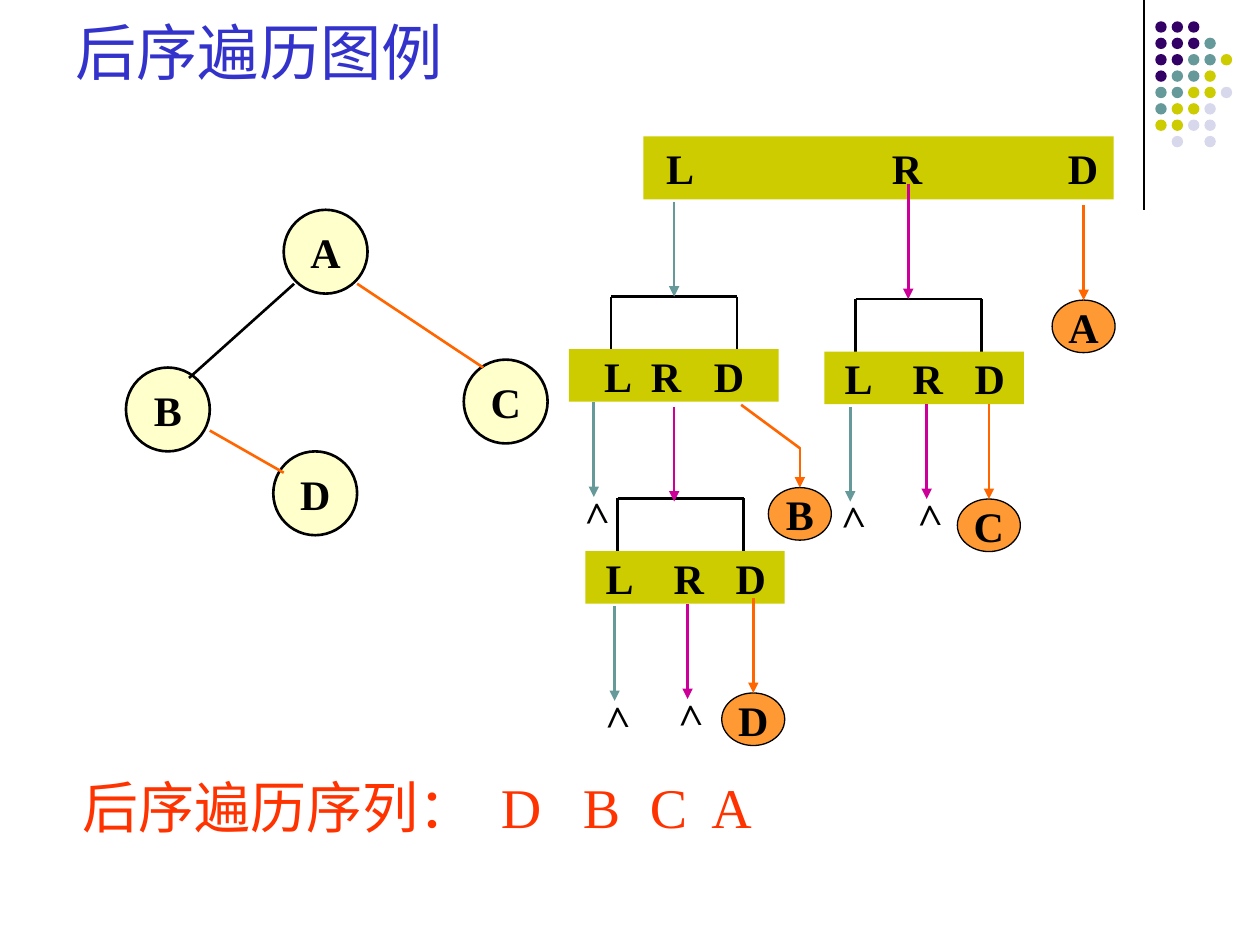
"""Builds the post-order traversal slide."""
from lxml.etree import SubElement as Sub
from pptx import Presentation
from pptx.dml.color import RGBColor as Rgb
from pptx.enum.shapes import MSO_CONNECTOR as Conn, MSO_SHAPE as Kind
from pptx.enum.text import MSO_ANCHOR as Anchor, MSO_AUTO_SIZE as Auto, PP_ALIGN as Align
from pptx.oxml.ns import qn
from pptx.util import Cm, Pt

HUES = {
    "black": "000000", "blue": "3333CC", "red": "FF3300", "cream": "FFFFCC",
    "orange": "FF6600", "amber": "FF9933", "pink": "CC0099",
    "plum": "330066", "teal": "669999", "lime": "CCCC00", "mist": "D8D8EC",
}
BOLD = {"name": "Times New Roman", "size": Pt(24), "bold": True}
HEAD = {"name": "Arial", "size": Pt(35), "bold": False}
PLAIN = {"name": "Times New Roman", "size": Pt(32), "bold": False}
STEP = 1.91
BAR = 1.06


class Sheet:
    def __init__(self, slide):
        self.slide = slide
        self.items = slide.shapes

    def hue(self, name):
        return Rgb.from_string(HUES[name])

    def label(self, shape, text, form=BOLD, ink="black", align=Align.LEFT,
              anchor=Anchor.MIDDLE, wrap=True, left=0.25, tabs=()):
        frame = shape.text_frame
        props = {"auto_size": Auto.NONE, "word_wrap": wrap, "vertical_anchor": anchor,
                 "margin_left": Cm(left), "margin_right": Cm(0.25),
                 "margin_top": Cm(0.13), "margin_bottom": Cm(0.13)}
        for key, val in props.items():
            setattr(frame, key, val)
        para = frame.paragraphs[0]
        para.alignment = align
        if tabs:
            stops = Sub(para._p.get_or_add_pPr(), qn("a:tabLst"))
            for pos in tabs:
                Sub(stops, qn("a:tab"), pos=str(Cm(pos)), algn="l")
        run = para.add_run()
        run.text = text
        for key, val in form.items():
            setattr(run.font, key, val)
        run.font.color.rgb = self.hue(ink)

    def title(self, text, *box):
        shape = self.items.title
        for key, val in zip(("left", "top", "width", "height"), box):
            setattr(shape, key, Cm(val))
        self.label(shape, text, HEAD, "blue", anchor=Anchor.BOTTOM)

    def shape(self, kind, box, fill, edge=None):
        item = self.items.add_shape(kind, *map(Cm, box))
        item.shadow.inherit = False
        item.fill.solid()
        item.fill.fore_color.rgb = self.hue(fill)
        if edge:
            item.line.color.rgb = self.hue("black")
            item.line.width = Pt(edge)
        else:
            item.line.fill.background()
        return item

    def node(self, text, box, fill, edge):
        item = self.shape(Kind.OVAL, box, fill, edge)
        self.label(item, text, align=Align.CENTER, wrap=False)
        return item

    def bar(self, box, left, tabs):
        item = self.shape(Kind.RECTANGLE, box, "lime")
        self.label(item, "L\tR\tD", left=left, tabs=tabs)

    def text(self, text, box, turn=0, **opts):
        item = self.items.add_textbox(*map(Cm, box))
        item.rotation = turn
        self.label(item, text, anchor=Anchor.TOP, **opts)

    def line(self, x1, y1, x2, y2, ink="black", size=1.5, tip=False):
        item = self.items.add_connector(Conn.STRAIGHT, *map(Cm, (x1, y1, x2, y2)))
        item.line.color.rgb = self.hue(ink)
        item.line.width = Pt(size)
        if tip:
            Sub(item.line._get_or_add_ln(), qn("a:tailEnd"), type="triangle")
        Sub(item._element.spPr, qn("a:effectLst"))
        return item

    def fork(self, left, top):
        right = left + 2.54
        self.line(left, top, right, top)
        for x in (left, right):
            self.line(x, top, x, top + BAR)

    def leaf(self, text, left, top, rise=STEP):
        item = self.node(text, (left, top, 1.27, BAR), "amber", 0.75)
        mid = left + 0.635
        self.line(mid, top - rise, mid, top, "orange", tip=True).end_connect(item, 0)

    def null(self, x, top, ink):
        end = top + STEP
        self.text(">", (x - 0.53, end - 0.33, 1.06, 1.26), turn=268.3)
        self.line(x, top, x, end, ink, tip=True)


def main():
    deck = Presentation()
    deck.slide_width, deck.slide_height = Cm(25.4), Cm(19.05)
    sheet = Sheet(deck.slides.add_slide(deck.slide_layouts[5]))

    sheet.line(23.06, 0, 23.06, 4.24, size=0.75)
    dots = {"p": "plum", "t": "teal", "l": "lime", "m": "mist"}
    rows = ("ppp", "pppt", "ppttl", "pttl", "ttllm", "tllm", "llmm", " m m")
    for row, codes in enumerate(rows):
        for col, code in enumerate(codes):
            if code in dots:
                box = (23.29 + col * 0.33, 0.43 + row * 0.33, 0.23, 0.23)
                sheet.shape(Kind.OVAL, box, dots[code])

    sheet.title("后序遍历图例", 1.27, 0.33, 21.39, 1.57)

    tree = {"A": (5.72, 4.23), "D": (5.51, 9.1), "B": (2.54, 7.41), "C": (9.35, 7.25)}
    for name, spot in tree.items():
        sheet.node(name, (*spot, 1.69, 1.69), "cream", 1.5)
    sheet.line(5.93, 5.72, 3.81, 7.62)
    sheet.line(7.2, 5.72, 9.74, 7.41, "orange")
    sheet.line(4.23, 8.68, 5.72, 9.53, "orange")

    sheet.bar((12.97, 2.75, 9.48, 1.27), 0.46, (4.55, 8.1))
    even = (0.41, (1.37, 2.62))
    calls = (
        (11.47, 7.04, 4.23, 12.32, 0.71, (0.94, 2.21)),
        (16.62, 7.09, 4.02, 17.25, *even),
        (11.8, 11.11, 4.02, 12.45, *even),
    )
    for left, top, width, fork, pad, tabs in calls:
        sheet.fork(fork, top - BAR)
        sheet.bar((left, top, width, BAR), pad, tabs)

    sheet.line(13.59, 4.07, 13.59, 5.98, "teal", tip=True)
    sheet.line(18.31, 3.7, 18.31, 6.03, "pink", tip=True)
    sheet.line(13.59, 8.2, 13.59, 10.11, "pink", tip=True)
    nulls = ((11.97, 8.11, "teal"), (12.39, 12.22, "teal"), (17.14, 8.2, "teal"),
             (13.86, 12.18, "pink"), (18.68, 8.15, "pink"))
    for spot in nulls:
        sheet.null(*spot)

    for leaf in (("A", 21.21, 6.05), ("D", 14.55, 13.97), ("C", 19.3, 10.06),
                 ("B", 15.49, 9.83, 0.79)):
        sheet.leaf(*leaf)
    sheet.line(14.94, 8.16, 16.13, 9.04, "orange")

    sheet.text("后序遍历序列：\tD\tB\tC\tA", (1.42, 15.44, 14.05, 1.63),
               form=PLAIN, ink="red", tabs=(8.43, 10.08, 11.43, 12.67))
    deck.save("out.pptx")


if __name__ == "__main__":
    main()
